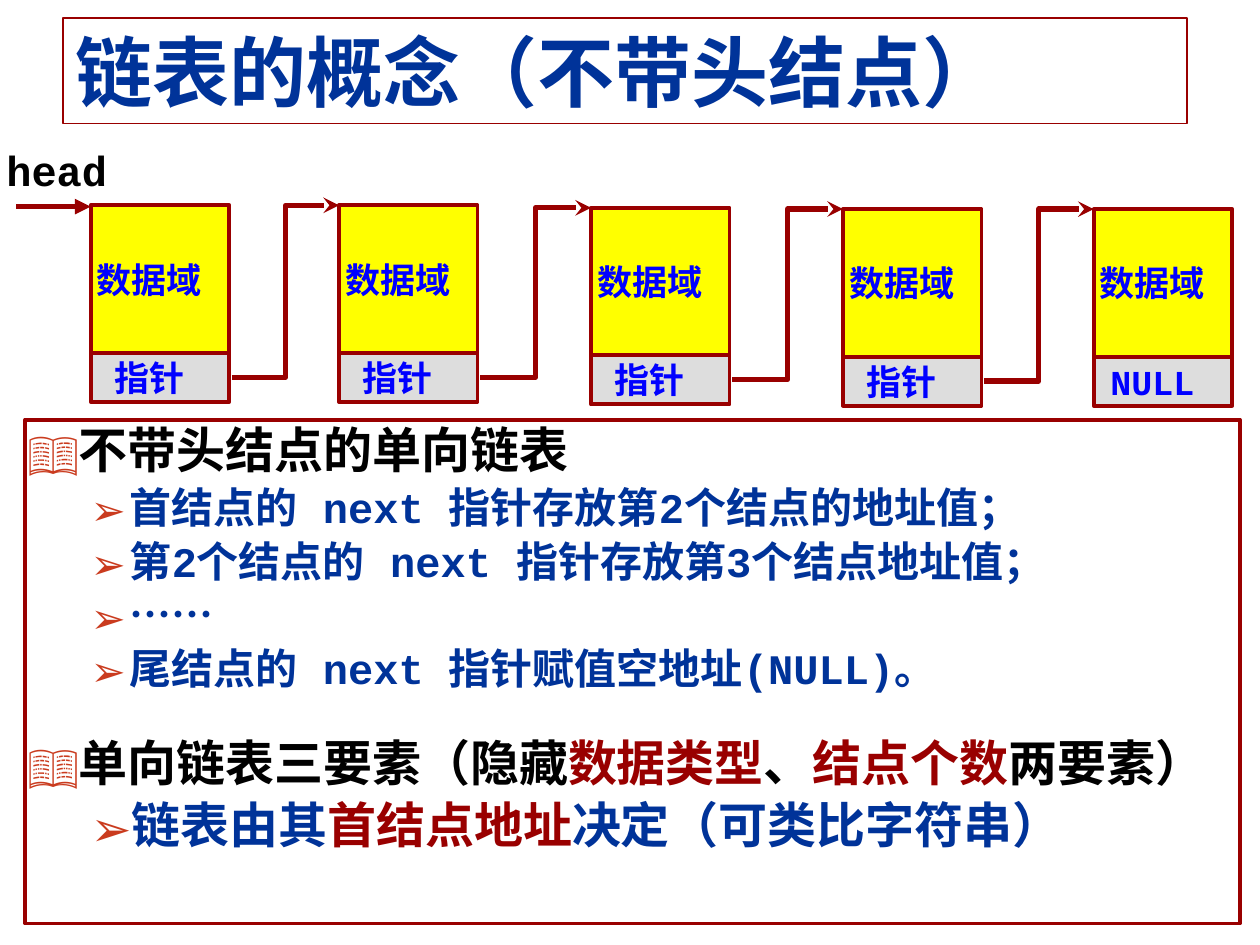
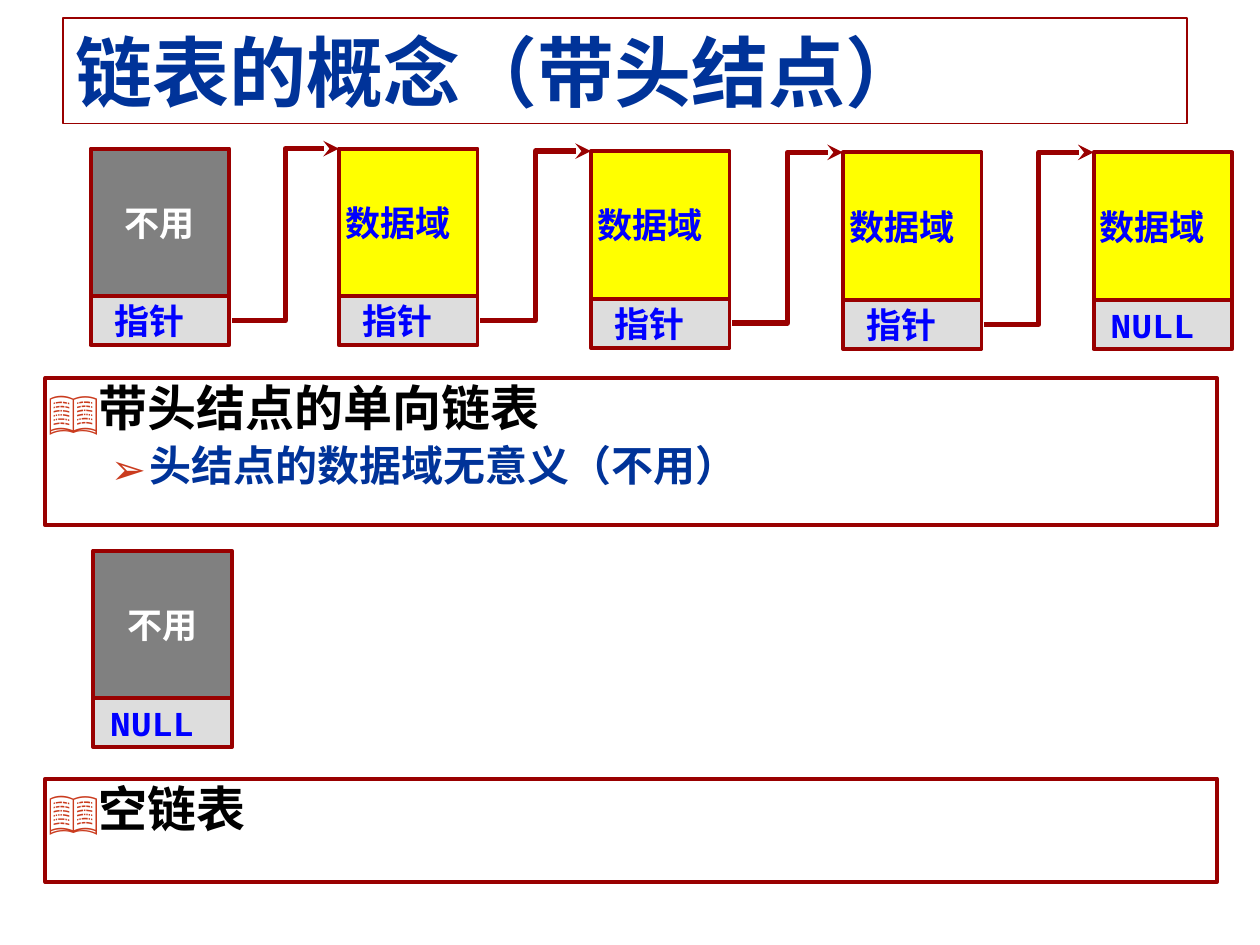
import dataclasses
import itertools

import pptx
import pptx.dml.color
import pptx.enum.shapes
import pptx.enum.text
import pptx.oxml.ns
import pptx.util
from lxml import etree

Inches = pptx.util.Inches
Pt = pptx.util.Pt
Anchor = pptx.enum.text.MSO_ANCHOR
Align = pptx.enum.text.PP_ALIGN
Connector = pptx.enum.shapes.MSO_CONNECTOR
qn = pptx.oxml.ns.qn


@dataclasses.dataclass(frozen=True)
class Theme:
    font: str = "Courier New"
    symbol_font: str = "Noto Sans CJK SC"
    dark_red: str = "990000"
    navy: str = "003399"
    black: str = "000000"
    white: str = "FFFFFF"
    blue: str = "0000FF"
    yellow: str = "FFFF00"
    dark_gray: str = "808080"
    light_gray: str = "DDDDDD"
    bullet: str = "CA3B1E"
    title_size: int = 44
    heading_size: int = 28
    item_size: int = 24
    node_size: int = 20
    frame_width: float = 2.25
    arrow_width: float = 3


THEME = Theme()

# Outline levels: bullet sign, text indent, hanging indent
LEVELS = [("📖", 0.38, 0.38), ("➢", 0.81, 0.31)]
LEVEL_COLORS = [THEME.black, THEME.navy]

NODE_LEFTS = [0.72, 2.69, 4.69, 6.69, 8.68]
NODE_DROPS = [0, 0, 0.02, 0.03, 0.03]
NODE_WIDTH, DATA_HEIGHT, POINTER_HEIGHT = 1.1, 1.17, 0.39
DATA = ("数据域 ", THEME.yellow, THEME.blue)
UNUSED = ("不用", THEME.dark_gray, THEME.white)
POINTER, NULL = "指针 ", "NULL "


def rgb(value):
    return pptx.dml.color.RGBColor.from_string(value)


def style_paragraph(paragraph, size, color):
    font = paragraph.font
    font.name, font.size, font.bold = THEME.font, Pt(size), True
    font.color.rgb = rgb(color)
    properties = paragraph._p.pPr.find(qn("a:defRPr"))
    etree.SubElement(properties, qn("a:ea"), typeface=THEME.font)


def set_outline(shape, width):
    shape.line.color.rgb = rgb(THEME.dark_red)
    shape.line.width = Pt(width)


def place(shape, box):
    shape.left, shape.top, shape.width, shape.height = map(Inches, box)


def add_title(slide, text):
    title = slide.shapes.title
    place(title, (0.5, 0.14, 8.92, 0.84))
    set_outline(title, 1)
    frame = title.text_frame
    frame.text = text
    frame.vertical_anchor = Anchor.MIDDLE
    frame.auto_size = pptx.enum.text.MSO_AUTO_SIZE.NONE
    frame.paragraphs[0].alignment = Align.LEFT
    style_paragraph(frame.paragraphs[0], THEME.title_size, THEME.navy)


def set_bullet(paragraph, level):
    sign, indent, hanging = LEVELS[level]
    properties = paragraph._p.get_or_add_pPr()
    properties.set("marL", str(Inches(indent)))
    properties.set("indent", str(-Inches(hanging)))
    color = etree.SubElement(properties, qn("a:buClr"))
    etree.SubElement(color, qn("a:srgbClr"), val=THEME.bullet)
    etree.SubElement(properties, qn("a:buFont"), typeface=THEME.symbol_font)
    etree.SubElement(properties, qn("a:buChar"), char=sign)


def fill_outline(shape, box, items):
    """Write items of (level, size, line spacing, runs); a run is text or (text, color, font)."""
    place(shape, box)
    set_outline(shape, THEME.frame_width)
    frame = shape.text_frame
    frame.word_wrap = True
    frame.auto_size = pptx.enum.text.MSO_AUTO_SIZE.NONE
    frame.vertical_anchor = Anchor.TOP
    frame.margin_left, frame.margin_right = Inches(0.02), Inches(0.1)
    frame.margin_top = frame.margin_bottom = Inches(0.05)
    for index, (level, size, spacing, runs) in enumerate(items):
        paragraph = frame.add_paragraph() if index else frame.paragraphs[0]
        paragraph.level = level
        set_bullet(paragraph, level)
        paragraph.line_spacing = spacing
        paragraph.space_before = Pt(size * 0.2)
        style_paragraph(paragraph, size, LEVEL_COLORS[level])
        for part in runs:
            text, color, font = (part, None, None) if isinstance(part, str) else part
            run = paragraph.add_run()
            run.text = text
            if color:
                run.font.color.rgb = rgb(color)
            if font:
                run.font.name = font


def heading(*runs, spacing=0.9):
    return 0, THEME.heading_size, spacing, runs


def item(*runs, size=THEME.item_size):
    return 1, size, 0.9, runs


def red(text):
    return text, THEME.dark_red, None


def add_line(shapes, kind, start, end, width, arrowhead=None):
    line = shapes.add_connector(kind, *map(Inches, (*start, *end)))
    set_outline(line, width)
    if arrowhead:
        etree.SubElement(line.line._get_or_add_ln(), qn("a:tailEnd"), type=arrowhead)
    etree.SubElement(line._element.spPr, qn("a:effectLst"))


def write_label(shape, text, size, color, alignment=Align.CENTER):
    frame = shape.text_frame
    frame.word_wrap = False
    frame.vertical_anchor = Anchor.MIDDLE
    frame.margin_left = frame.margin_right = 0
    paragraph = frame.paragraphs[0]
    paragraph.add_run().text = text
    paragraph.alignment = alignment
    paragraph.space_before = Pt(size * 0.05)
    style_paragraph(paragraph, size, color)


def add_node(slide, left, top, data, pointer):
    shapes = slide.shapes.add_group_shape().shapes
    cells = [(top, DATA_HEIGHT, data),
             (top + DATA_HEIGHT, POINTER_HEIGHT, (pointer, THEME.light_gray, THEME.blue))]
    for cell_top, height, (text, fill, color) in cells:
        cell = shapes.add_shape(pptx.enum.shapes.MSO_SHAPE.RECTANGLE,
                                *map(Inches, (left, cell_top, NODE_WIDTH, height)))
        cell.shadow.inherit = False
        cell.fill.solid()
        cell.fill.fore_color.rgb = rgb(fill)
        set_outline(cell, THEME.frame_width)
        write_label(cell, text, THEME.node_size, color)
    add_line(shapes, Connector.STRAIGHT, (left, top), (left + 0.25, top), THEME.frame_width)


def add_chain(slide, top, first_data):
    """Draw five linked nodes; each pointer cell leads to the next node's corner."""
    corners = [(left, top + drop) for left, drop in zip(NODE_LEFTS, NODE_DROPS)]
    for (left, node_top), target in itertools.pairwise(corners):
        start = (left + NODE_WIDTH + 0.02, node_top + DATA_HEIGHT + POINTER_HEIGHT / 2)
        add_line(slide.shapes, Connector.ELBOW, start, target, THEME.arrow_width, "stealth")
    for index, (left, node_top) in enumerate(corners):
        last = index == len(corners) - 1
        add_node(slide, left, node_top, DATA if index else first_data,
                 NULL if last else POINTER)


def add_head_pointer(slide, left, top):
    label = slide.shapes.add_textbox(*map(Inches, (left, top, 1.05, 0.36)))
    write_label(label, "head ", THEME.item_size, THEME.black, Align.LEFT)
    line_top = top + 0.47
    add_line(slide.shapes, Connector.STRAIGHT, (left + 0.08, line_top),
             (NODE_LEFTS[0], line_top), THEME.arrow_width, "triangle")


def add_slide(presentation, title):
    slide = presentation.slides.add_slide(presentation.slide_layouts[1])
    add_title(slide, title)
    return slide


def build_list_without_head_node(presentation):
    slide = add_slide(presentation, "链表的概念（不带头结点）")
    fill_outline(slide.placeholders[1], (0.2, 3.33, 9.64, 4), [
        heading("不带头结点的单向链表"),
        item("首结点的 next 指针存放第2个结点的地址值；"),
        item("第2个结点的 next 指针存放第3个结点地址值；"),
        item(("……", None, THEME.symbol_font)),
        item("尾结点的 next 指针赋值空地址(NULL)。"),
        heading("单向链表三要素（隐藏", red("数据类型"), "、", red("结点个数"), "两要素）",
                spacing=1.5),
        item("链表由其", red("首结点地址"), "决定（可类比字符串）", size=THEME.heading_size),
    ])
    add_chain(slide, 1.63, DATA)
    add_head_pointer(slide, 0.05, 1.17)


def build_list_with_head_node(presentation):
    slide = add_slide(presentation, "链表的概念（带头结点）")
    fill_outline(slide.placeholders[1], (0.36, 3, 9.3, 1.17), [
        heading("带头结点的单向链表"),
        item("头结点的数据域无意义（不用）"),
    ])
    add_chain(slide, 1.18, UNUSED)
    add_node(slide, 0.74, 4.37, UNUSED, NULL)
    empty_list = slide.shapes.add_textbox(0, 0, 0, 0)
    fill_outline(empty_list, (0.36, 6.18, 9.3, 0.82), [heading("空链表")])


def main():
    presentation = pptx.Presentation()
    presentation.slide_width, presentation.slide_height = Inches(10), Inches(7.5)
    build_list_without_head_node(presentation)
    build_list_with_head_node(presentation)
    presentation.save("out.pptx")


if __name__ == "__main__":
    main()
